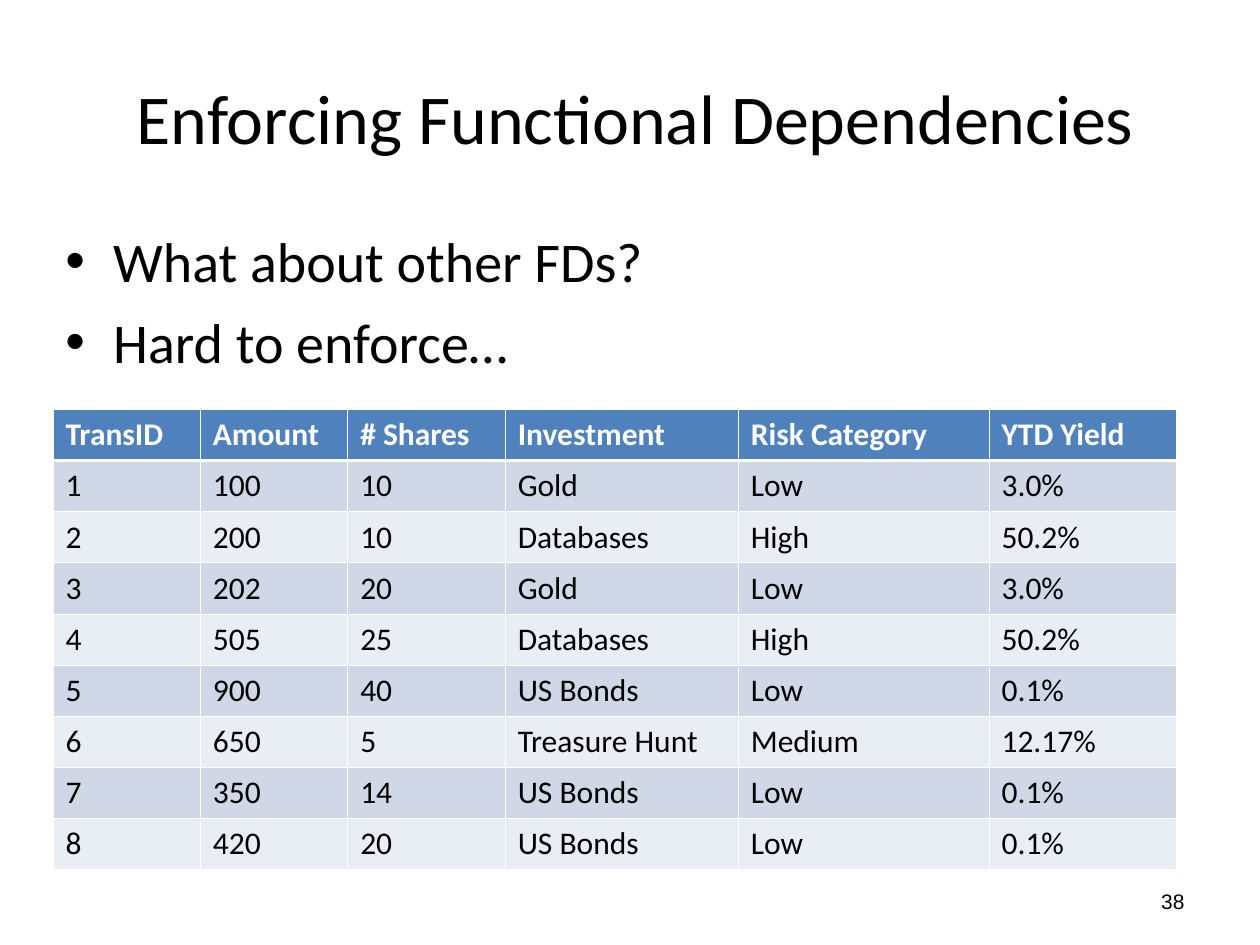
from lxml import etree
from pptx import Presentation
from pptx.dml.color import RGBColor
from pptx.enum.text import MSO_ANCHOR, PP_ALIGN
from pptx.oxml.ns import qn
from pptx.util import Inches, Pt

LEFT, CENTER, RIGHT = PP_ALIGN.LEFT, PP_ALIGN.CENTER, PP_ALIGN.RIGHT
TOP, MIDDLE = MSO_ANCHOR.TOP, MSO_ANCHOR.MIDDLE

COLORS = {
    "text": "000000",
    "header_text": "FFFFFF",
    "header": "4F81BD",
    "odd_row": "D0D8E8",
    "even_row": "E9EDF4",
    "border": "FFFFFF",
}
THIN, THICK = 0.45, 1.47
COLUMN_WIDTHS = [1.17, 1.17, 1.25, 1.85, 1.99, 1.49]
TABLE_HEIGHT = 3.65
TRANSACTIONS = [
    ["TransID", "Amount", "# Shares", "Investment", "Risk Category", "YTD Yield"],
    ["1", "100", "10", "Gold", "Low", "3.0%"],
    ["2", "200", "10", "Databases", "High", "50.2%"],
    ["3", "202", "20", "Gold", "Low", "3.0%"],
    ["4", "505", "25", "Databases", "High", "50.2%"],
    ["5", "900", "40", "US Bonds", "Low", "0.1%"],
    ["6", "650", "5", "Treasure Hunt", "Medium", "12.17%"],
    ["7", "350", "14", "US Bonds", "Low", "0.1%"],
    ["8", "420", "20", "US Bonds", "Low", "0.1%"],
]


def color(name):
    return RGBColor.from_string(COLORS[name])


def set_font(para, size, name="Calibri", fill="text", bold=False):
    para.font.size = Pt(size)
    para.font.name = name
    para.font.bold = bold
    para.font.color.rgb = color(fill)


def add_bullet(para, indent):
    properties = para._p.get_or_add_pPr()
    properties.set("marL", str(Inches(indent)))
    properties.set("indent", str(-Inches(indent)))
    etree.SubElement(properties, qn("a:buFont"), typeface="Arial")
    etree.SubElement(properties, qn("a:buChar"), char="•")


def add_text(page, place, lines, size, name="Calibri", align=LEFT, anchor=TOP,
             bulleted=False):
    box = page.shapes.add_textbox(*map(Inches, place))
    frame = box.text_frame
    frame.word_wrap = True
    frame.vertical_anchor = anchor
    frame.text = "\n".join(lines)
    for index, para in enumerate(frame.paragraphs):
        para.alignment = align
        if bulleted:
            add_bullet(para, 0.38)
        if index:
            para.space_before = Pt(8)
        set_font(para, size, name)


def set_borders(cell, top, bottom):
    properties = cell._tc.get_or_add_tcPr()
    for side, width in (("L", THIN), ("R", THIN), ("T", top), ("B", bottom)):
        line = etree.SubElement(properties, qn(f"a:ln{side}"), w=str(Pt(width)))
        fill = etree.SubElement(line, qn("a:solidFill"))
        etree.SubElement(fill, qn("a:srgbClr"), val=COLORS["border"])


def fill_cell(cell, text, row):
    is_header = row == 0
    set_borders(cell, THICK if row == 1 else THIN, THICK if is_header else THIN)
    cell.fill.solid()
    band = "odd_row" if row % 2 else "even_row"
    cell.fill.fore_color.rgb = color("header" if is_header else band)
    cell.text = text
    set_font(cell.text_frame.paragraphs[0], 18,
             fill="header_text" if is_header else "text", bold=is_header)


def add_transactions(page, left, top):
    frame = page.shapes.add_table(
        len(TRANSACTIONS), len(COLUMN_WIDTHS), Inches(left), Inches(top),
        Inches(sum(COLUMN_WIDTHS)), Inches(TABLE_HEIGHT))
    table = frame.table
    for column, width in zip(table.columns, COLUMN_WIDTHS):
        column.width = Inches(width)
    for row, values in enumerate(TRANSACTIONS):
        for column, text in enumerate(values):
            fill_cell(table.cell(row, column), text, row)


def main():
    deck = Presentation()
    deck.slide_width, deck.slide_height = Inches(10), Inches(7.5)
    page = deck.slides.add_slide(deck.slide_layouts[6])

    # Title
    add_text(page, (0.25, 0.3, 9.58, 1.25), ["Enforcing Functional Dependencies"],
             40, align=CENTER, anchor=MIDDLE)

    # Bullet points
    add_text(page, (0.42, 1.75, 9.08, 4.95),
             ["What about other FDs?", "Hard to enforce…"], 32, bulleted=True)

    # Transaction table
    add_transactions(page, 0.42, 3.25)

    # Page number
    add_text(page, (7.17, 6.95, 2.33, 0.4), ["38"], 12, name="Arial",
             align=RIGHT, anchor=MIDDLE)

    deck.save("out.pptx")


if __name__ == "__main__":
    main()
